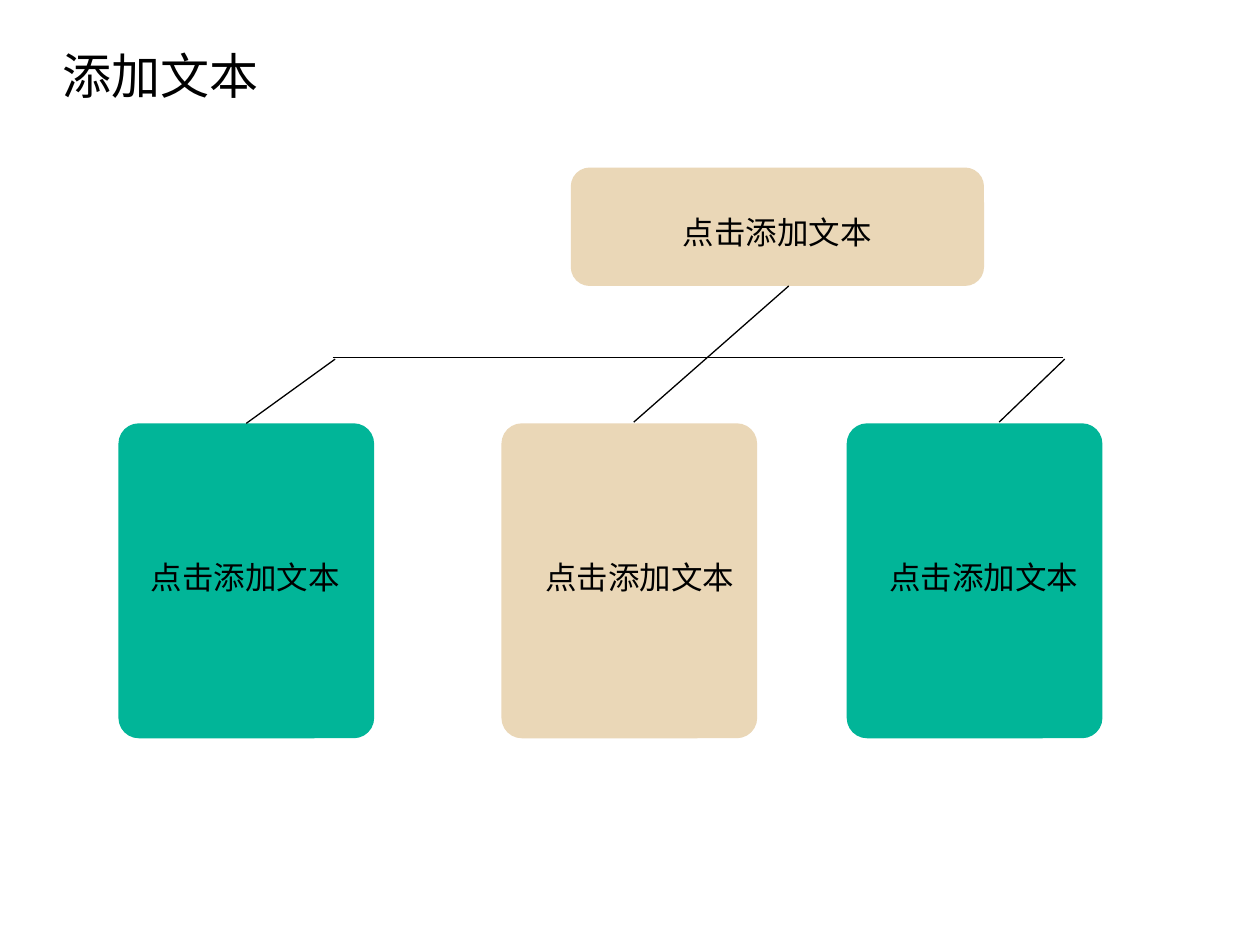
from lxml.etree import SubElement
from pptx import Presentation
from pptx.dml.color import RGBColor
from pptx.enum.shapes import MSO_CONNECTOR, MSO_SHAPE
from pptx.enum.text import MSO_AUTO_SIZE
from pptx.oxml.ns import qn
from pptx.util import Inches, Pt

BLACK = RGBColor(0x00, 0x00, 0x00)
SAND = RGBColor(0xEA, 0xD7, 0xB7)
GREEN = RGBColor(0x01, 0xB5, 0x98)
FONT = "Noto Sans CJK SC"

presentation = Presentation()
presentation.slide_width = Inches(10)
presentation.slide_height = Inches(7.5)
slide = presentation.slides.add_slide(presentation.slide_layouts[6])


def grid(*cells):
    column = presentation.slide_width / 100
    row = presentation.slide_height / 75
    return [round(cell * (row if index % 2 else column)) for index, cell in enumerate(cells)]


child_top, child_width, child_height = 33.6, 20.3, 25
label_top = 43.8
boxes = [
    (45.3, 13.3, 32.8, 9.4, SAND),
    (9.4, child_top, child_width, child_height, GREEN),
    (39.8, child_top, child_width, child_height, SAND),
    (67.2, child_top, child_width, child_height, GREEN),
]
box_shapes = []
for left, top, width, height, color in boxes:
    shape = slide.shapes.add_shape(MSO_SHAPE.ROUNDED_RECTANGLE, *grid(left, top, width, height))
    shape.adjustments[0] = round(1.55 / min(width, height), 2)
    shape.shadow.inherit = False
    shape.fill.solid()
    shape.fill.fore_color.rgb = color
    shape.line.fill.background()
    box_shapes.append(shape)

branches = [
    (26.4, 28.4, 84.4, 28.4),
    (19.5, 33.4, 26.6, 28.5),
    (50.3, 33.5, 62.6, 22.7),
    (79.3, 33.5, 84.5, 28.5),
]
connectors = []
for ends in branches:
    connector = slide.shapes.add_connector(MSO_CONNECTOR.STRAIGHT, *grid(*ends))
    connector.line.color.rgb = BLACK
    connector.line.width = Pt(0.75)
    SubElement(connector._element.spPr, qn("a:effectLst"))
    connectors.append(connector)
connectors[1].begin_connect(box_shapes[1], 0)

labels = [
    ("添加文本", 4, 3.1, 17.5, 5.7, 28),
    ("点击添加文本", 53.2, 16.4, 17, 4, 18),
    ("点击添加文本", 11, label_top, 17, 4, 18),
    ("点击添加文本", 42.3, label_top, 17, 4, 18),
    ("点击添加文本", 69.6, label_top, 17, 4, 18),
]
for text, left, top, width, height, size in labels:
    text_box = slide.shapes.add_textbox(*grid(left, top, width, height))
    text_frame = text_box.text_frame
    text_frame.word_wrap = False
    text_frame.auto_size = MSO_AUTO_SIZE.SHAPE_TO_FIT_TEXT
    text_frame.text = text
    run = text_frame.paragraphs[0].runs[0]
    run.font.size = Pt(size)
    run.font.name = FONT
    run.font.color.rgb = BLACK
    SubElement(run.font._element, qn("a:ea"), typeface=FONT)

presentation.save("out.pptx")
